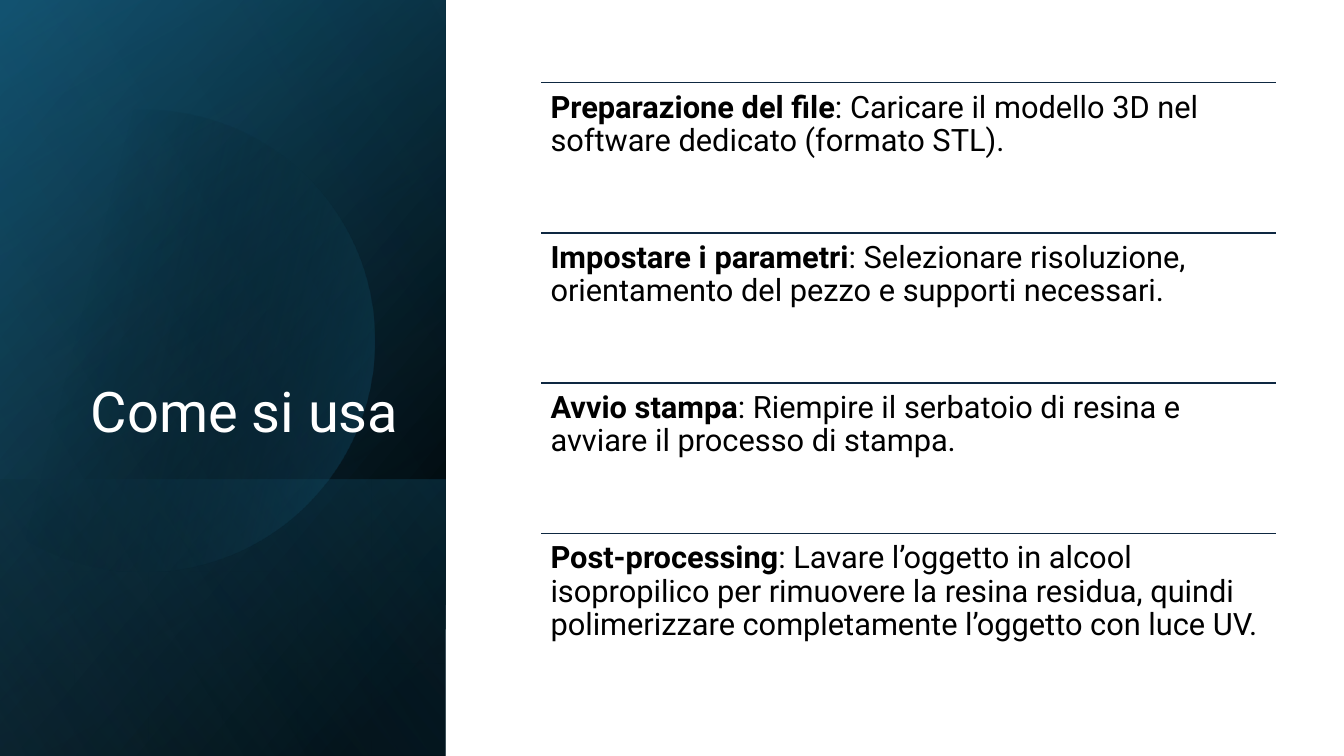
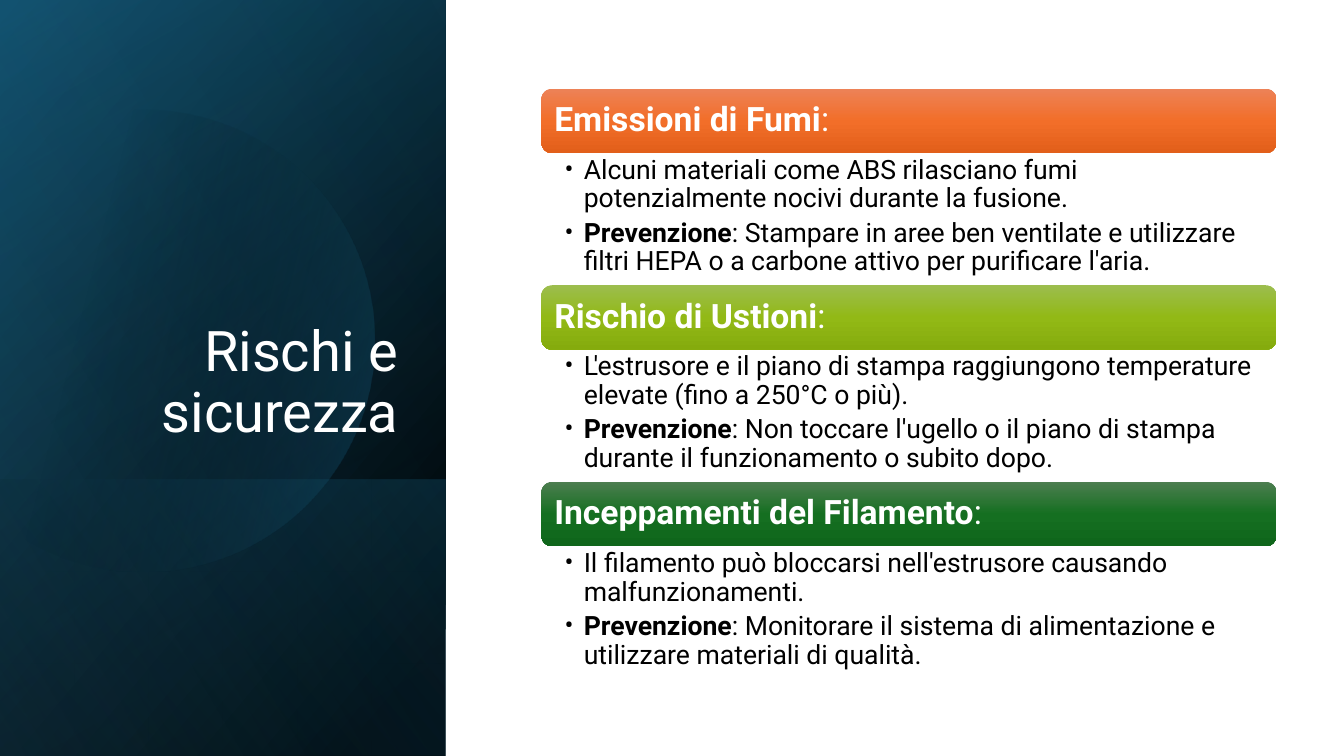
import math

import pptx
import pptx.dml.color
import pptx.enum.shapes
import pptx.enum.text
import pptx.oxml
import pptx.oxml.ns
import pptx.util

Inches, Pt = pptx.util.Inches, pptx.util.Pt
SHAPE = pptx.enum.shapes.MSO_SHAPE
ANCHOR = pptx.enum.text.MSO_ANCHOR
ALIGN = pptx.enum.text.PP_ALIGN


def color(hex_string):
    return pptx.dml.color.RGBColor.from_string(hex_string)


def sub(parent, tag, **attrs):
    """Append a DrawingML child element."""
    el = pptx.oxml.parse_xml(f"<a:{tag} {pptx.oxml.ns.nsdecls('a')}/>")
    for name, value in attrs.items():
        el.set(name, str(value))
    parent.append(el)
    return el


class Deck:
    FONT = "Roboto"
    WHITE, BLACK, RULE = "FFFFFF", "000000", "0E2841"
    TEAL, DEEP_TEAL, SKY = "156082", "104862", "46B1E1"
    PANEL_W, HEIGHT = 4.42, 7.5
    LEFT, WIDTH = 5.37, 7.29

    def __init__(self):
        self.prs = pptx.Presentation()
        self.prs.slide_width = Inches(13.33)
        self.prs.slide_height = Inches(self.HEIGHT)

    def new_slide(self, title):
        self.slide = self.prs.slides.add_slide(self.prs.slide_layouts[5])
        self.shapes = self.slide.shapes
        self.backdrop()
        self.title(title)

    # Fills: each stop is (position %, colour, opacity %)
    def gradient(self, sp, stops, angle):
        sp.shadow.inherit = False
        sp.line.fill.background()
        sp.fill.gradient()
        grad = sp._element.spPr.find(pptx.oxml.ns.qn("a:gradFill"))
        grad.clear()
        grad.set("rotWithShape", "1")
        stop_list = sub(grad, "gsLst")
        for pos, hex_string, opacity in stops:
            stop = sub(stop_list, "gs", pos=pos * 1000)
            clr = sub(stop, "srgbClr", val=hex_string)
            if opacity < 100:
                sub(clr, "alpha", val=opacity * 1000)
        sub(grad, "lin", ang=angle * 60000, scaled=0)

    # Left panel
    def panel(self, top, stops, angle):
        """Layer from top to the slide's foot, turned a quarter and mirrored."""
        height = self.HEIGHT - top
        shift = (self.PANEL_W - height) / 2
        sp = self.shapes.add_shape(SHAPE.RECTANGLE, Inches(shift), Inches(top - shift),
                                   Inches(height), Inches(self.PANEL_W))
        sp.rotation = 90
        sp._element.spPr.xfrm.set("flipH", "1")
        self.gradient(sp, stops, angle)

    def disc(self, x, y, radius, cut, stops, angle):
        """Circle cut off straight on its left side, one curve per arc."""
        end = math.acos((cut - x) / radius)
        angles = [-end, -math.pi / 2, 0, math.pi / 2, end]

        def at(a, reach=0.0):
            """Point on the circle, moved along its tangent by reach radii."""
            return (Inches(x + radius * (math.cos(a) - reach * math.sin(a))),
                    Inches(y + radius * (math.sin(a) + reach * math.cos(a))))

        builder = self.shapes.build_freeform(*at(angles[0]))
        builder.add_line_segments([at(a) for a in angles[1:]], close=True)
        sp = builder.convert_to_shape()
        lines = list(sp._element.iter(pptx.oxml.ns.qn("a:lnTo")))
        for line, a, b in zip(lines, angles, angles[1:]):
            reach = 4 / 3 * math.tan((b - a) / 4)
            curve = sub(line.getparent(), "cubicBezTo")
            for px, py in (at(a, reach), at(b, -reach), at(b)):
                sub(curve, "pt", x=px - sp.left, y=py - sp.top)
            line.getparent().replace(line, curve)
        self.gradient(sp, stops, angle)

    def backdrop(self):
        self.panel(0, [(8, self.BLACK, 100), (100, self.DEEP_TEAL, 100)], 50)
        self.panel(0, [(0, self.BLACK, 0), (99, self.TEAL, 46)], 30)
        self.panel(4.76, [(2, self.TEAL, 29), (100, self.BLACK, 30)], 130)
        self.disc(1.42, 3.38, 2.29, -0.15,
                  [(29, self.BLACK, 0), (100, self.TEAL, 43)], 14)
        self.panel(0, [(0, self.BLACK, 0), (99, self.SKY, 11)], 120)

    # Text
    def paragraph(self, p, size, hex_string, bold="", plain=""):
        p.line_spacing = 0.9
        p.font.name = self.FONT
        p.font.size = Pt(size)
        p.font.color.rgb = color(hex_string)
        for text, is_bold in ((bold, True), (plain, False)):
            if text:
                r = p.add_run()
                r.text = text
                r.font.bold = is_bold

    def frame(self, sp, insets, anchor=ANCHOR.TOP):
        tf = sp.text_frame
        tf.word_wrap = True
        tf.auto_size = pptx.enum.text.MSO_AUTO_SIZE.NONE
        tf.vertical_anchor = anchor
        (tf.margin_left, tf.margin_top,
         tf.margin_right, tf.margin_bottom) = map(Inches, insets)
        return tf

    def title(self, text):
        sp = self.shapes.title
        self.shapes._spTree.append(sp._element)  # in front of the panel
        sp.left, sp.top = Inches(0.64), Inches(1.84)
        sp.width, sp.height = Inches(3.41), Inches(2.62)
        p = self.frame(sp, (0.1, 0.05, 0.1, 0.05), ANCHOR.BOTTOM).paragraphs[0]
        p.alignment = ALIGN.RIGHT
        self.paragraph(p, 40, self.WHITE, plain=text)

    def text_box(self, left, top, width, height, insets, anchor=ANCHOR.TOP):
        sp = self.shapes.add_textbox(Inches(left), Inches(top),
                                     Inches(width), Inches(height))
        return self.frame(sp, insets, anchor)

    def ruled_step(self, top, height, bold, plain):
        line = self.shapes.add_connector(
            pptx.enum.shapes.MSO_CONNECTOR.STRAIGHT, Inches(self.LEFT), Inches(top),
            Inches(self.LEFT + self.WIDTH), Inches(top))
        line.line.color.rgb = color(self.RULE)
        line.line.width = Pt(1)
        sub(line._element.spPr, "effectLst")
        tf = self.text_box(self.LEFT, top, self.WIDTH, height, (0.09,) * 4)
        self.paragraph(tf.paragraphs[0], 22, self.BLACK, bold, plain)

    def heading_bar(self, top, height, text, tones):
        sp = self.shapes.add_shape(SHAPE.ROUNDED_RECTANGLE, Inches(self.LEFT), Inches(top),
                                   Inches(self.WIDTH), Inches(height))
        self.gradient(sp, [(pos, tone, 100) for pos, tone in zip((0, 50, 100), tones)], 90)
        inner = 0.03
        tf = self.text_box(self.LEFT + inner, top + inner, self.WIDTH - 2 * inner,
                           height - 2 * inner, (0.1,) * 4, ANCHOR.MIDDLE)
        self.paragraph(tf.paragraphs[0], 24, self.WHITE, text, ":")

    def bullets(self, top, height, items):
        tf = self.text_box(self.LEFT, top, self.WIDTH, height, (0.23, 0.03, 0.19, 0.03))
        for i, (bold, plain) in enumerate(items):
            p = tf.add_paragraph() if i else tf.paragraphs[0]
            p.level = 1
            pPr = p._p.get_or_add_pPr()
            pPr.set("marL", str(Inches(0.19)))
            pPr.set("indent", str(Inches(-0.19)))
            sub(pPr, "buFont", typeface=self.FONT)
            sub(pPr, "buChar", char="•")
            p.space_after = Pt(4)
            self.paragraph(p, 19, self.BLACK, bold, plain)


STEPS = [
    ("Preparazione del file", ": Caricare il modello 3D nel software dedicato (formato STL)."),
    ("Impostare i parametri",
     ": Selezionare risoluzione, orientamento del pezzo e supporti necessari."),
    ("Avvio stampa", ": Riempire il serbatoio di resina e avviare il processo di stampa."),
    ("Post-processing",
     ": Lavare l’oggetto in alcool isopropilico per rimuovere la resina residua, "
     "quindi polimerizzare completamente l’oggetto con luce UV."),
]

# Heading, bar tones, risk, prevention
RISKS = [
    ("Emissioni di Fumi", ("ED8257", "F26E29", "E25F1A"),
     "Alcuni materiali come ABS rilasciano fumi potenzialmente nocivi durante la fusione.",
     ": Stampare in aree ben ventilate e utilizzare filtri HEPA o a carbone attivo "
     "per purificare l'aria."),
    ("Rischio di Ustioni", ("9CBD4E", "92B916", "85AB0D"),
     "L'estrusore e il piano di stampa raggiungono temperature elevate "
     "(fino a 250°C o più).",
     ": Non toccare l'ugello o il piano di stampa durante il funzionamento o subito dopo."),
    ("Inceppamenti del Filamento", ("4D7E50", "156F21", "0F661B"),
     "Il filamento può bloccarsi nell'estrusore causando malfunzionamenti.",
     ": Monitorare il sistema di alimentazione e utilizzare materiali di qualità."),
]


def main():
    deck = Deck()

    # How to use it: four ruled steps
    deck.new_slide("Come si usa")
    step_h = 1.49
    for i, (name, detail) in enumerate(STEPS):
        deck.ruled_step(0.82 + i * step_h, step_h, name, detail)

    # Risks: a coloured bar above each pair of bullets
    deck.new_slide("Rischi e sicurezza")
    bar_h, list_h, pitch = 0.64, 1.3, 1.95
    for i, (name, tones, risk, prevention) in enumerate(RISKS):
        top = 0.88 + i * pitch
        deck.heading_bar(top, bar_h, name, tones)
        deck.bullets(top + bar_h, list_h, [("", risk), ("Prevenzione", prevention)])

    deck.prs.save("out.pptx")


if __name__ == "__main__":
    main()
